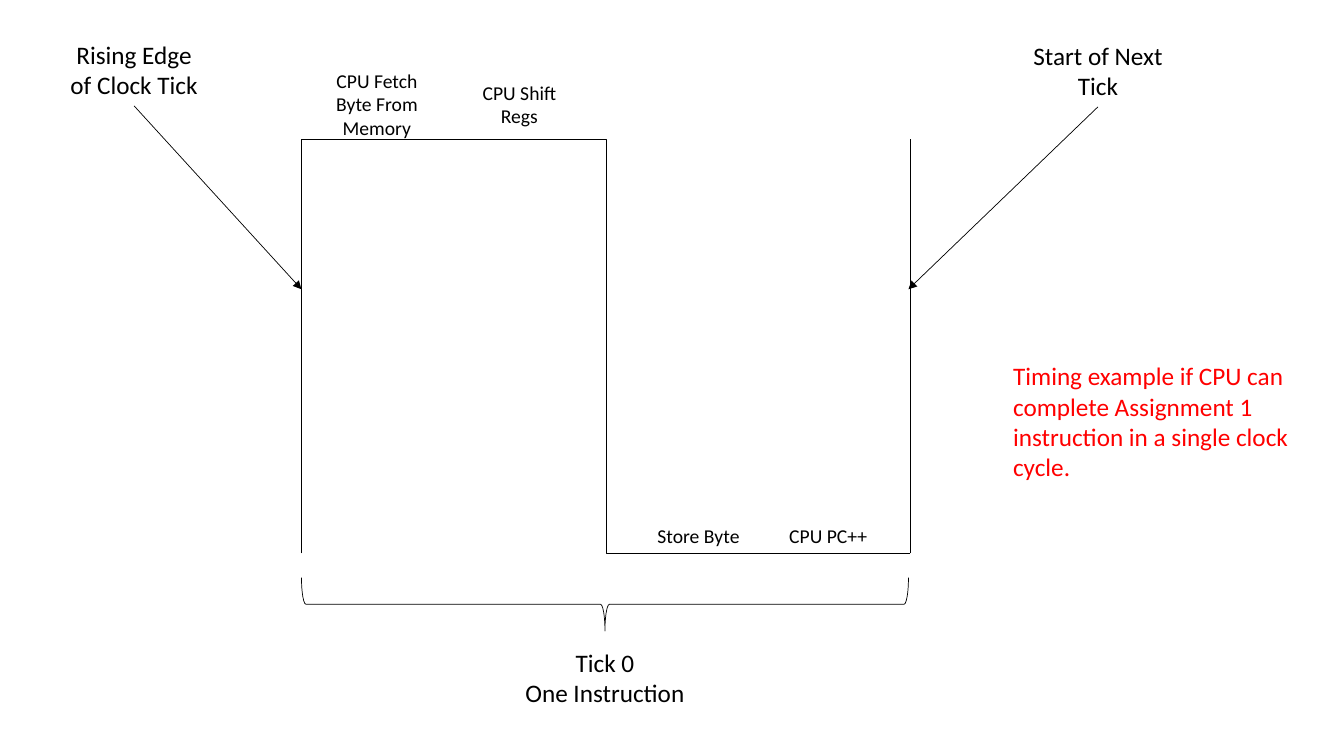
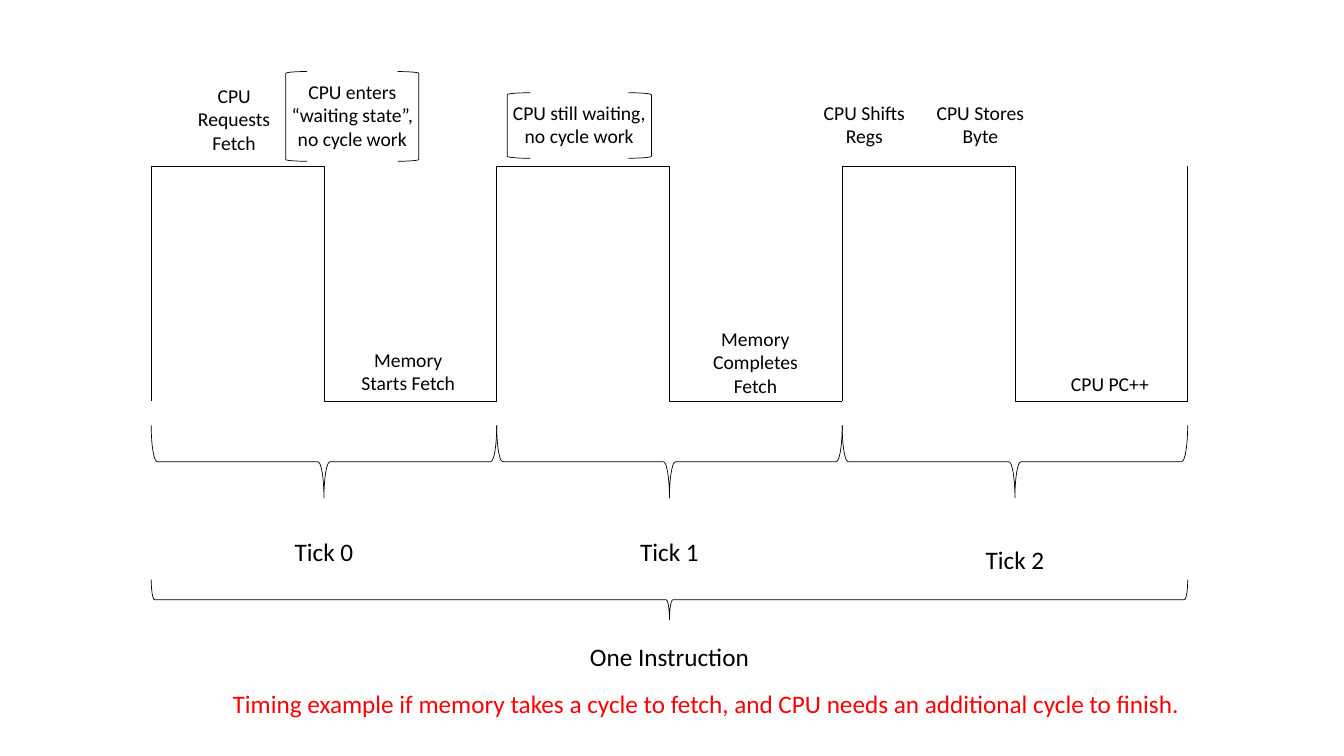
from dataclasses import dataclass

from pptx import Presentation
from pptx.dml.color import RGBColor
from pptx.enum.shapes import MSO_CONNECTOR, MSO_SHAPE
from pptx.enum.text import PP_ALIGN
from pptx.oxml.ns import qn
from pptx.oxml.xmlchemy import OxmlElement
from pptx.util import Inches, Pt

COLORS = {"ink": "000000", "note": "FF0000"}
FONT = "Calibri"
LINE_WIDTH = 0.5
SMALL, LARGE = 14, 18
LINE_HEIGHT = {SMALL: 0.24, LARGE: 0.3}
TEXT_PADDING = 0.1
STEP_WIDTH, WAITING_WIDTH = 1.24, 1.57
BRACE_GAP = 0.24


@dataclass
class Box:
    left: float
    top: float
    width: float
    height: float

    @property
    def right(self):
        return self.left + self.width

    @property
    def bottom(self):
        return self.top + self.height

    @property
    def center(self):
        return self.left + self.width / 2

    def emu(self):
        return [Inches(v) for v in (self.left, self.top, self.width, self.height)]


def text_height(lines, size):
    return TEXT_PADDING + lines * LINE_HEIGHT[size]


# Basic parts
def style_line(shape):
    shape.line.color.rgb = RGBColor.from_string(COLORS["ink"])
    shape.line.width = Pt(LINE_WIDTH)


def add_line(shapes, start, end, kind=MSO_CONNECTOR.STRAIGHT, arrow=False):
    points = [Inches(value) for value in (*start, *end)]
    connector = shapes.add_connector(kind, *points)
    style_line(connector)
    properties = connector.element.spPr
    if arrow:
        head = OxmlElement("a:tailEnd")
        head.set("type", "triangle")
        properties.find(qn("a:ln")).append(head)
    properties.append(OxmlElement("a:effectLst"))
    return connector


def add_outline(slide, kind, box):
    shape = slide.shapes.add_shape(kind, *box.emu())
    shape.shadow.inherit = False
    shape.fill.background()
    style_line(shape)
    return shape


def add_text(slide, box, text, size=LARGE, color="ink", align=PP_ALIGN.CENTER):
    text_box = slide.shapes.add_textbox(*box.emu())
    frame = text_box.text_frame
    frame.word_wrap = True
    frame.text = text
    for paragraph in frame.paragraphs:
        paragraph.alignment = align
        paragraph.font.name = FONT
        paragraph.font.size = Pt(size)
        paragraph.font.color.rgb = RGBColor.from_string(COLORS[color])
    return text_box


# Clock wave: one group per cycle, closed by the next rising edge
def split_cycles(wave, cycles):
    width = wave.width / cycles
    return [Box(wave.left + i * width, wave.top, width, wave.height) for i in range(cycles)]


def add_wave(slide, wave, cycles):
    for cycle in split_cycles(wave, cycles):
        shapes = slide.shapes.add_group_shape().shapes
        add_line(shapes, (cycle.left, cycle.top), (cycle.right, cycle.bottom), MSO_CONNECTOR.ELBOW)
        add_line(shapes, (cycle.right, cycle.bottom), (cycle.right, cycle.top))
    add_line(slide.shapes, (wave.left, wave.bottom), (wave.left, wave.top))


# Step label: stands on the high or low level at a percentage of the wave's width
def add_step(slide, wave, text, percent, level, lines, gap, bracket_width=0):
    width = WAITING_WIDTH if bracket_width else STEP_WIDTH
    height = text_height(lines, SMALL)
    base = wave.top if level == "high" else wave.bottom
    center = wave.left + wave.width * percent / 100
    box = Box(center - width / 2, base - gap - height, width, height)
    add_text(slide, box, text, SMALL)
    if bracket_width:
        depth = 0.16 * bracket_width
        left = center - bracket_width / 2
        sides = (
            (MSO_SHAPE.LEFT_BRACKET, left),
            (MSO_SHAPE.RIGHT_BRACKET, left + bracket_width - depth),
        )
        for kind, side in sides:
            add_outline(slide, kind, Box(side, box.top - 0.03, depth, height + 0.07))


# Brace lying under a span, with its caption below
def add_brace(slide, box, caption, gap):
    middle = box.top + box.height / 2
    upright = Box(
        box.center - box.height / 2, middle - box.width / 2, box.height, box.width
    )
    add_outline(slide, MSO_SHAPE.LEFT_BRACE, upright).rotation = 270
    height = text_height(len(caption.split("\n")), LARGE)
    add_text(slide, Box(box.center - 1, box.bottom + gap, 2, height), caption)


# Callout: text with an arrow to an edge of the wave
def add_callout(slide, box, text, target):
    text_box = add_text(slide, box, text)
    arrow = add_line(slide.shapes, (box.center, box.bottom), target, arrow=True)
    arrow.begin_connect(text_box, 2)


def add_note(slide, box, text):
    add_text(slide, box, text, color="note", align=PP_ALIGN.LEFT)


def build_single_cycle(slide):
    wave = Box(2.99, 1.38, 6.04, 4.11)
    add_wave(slide, wave, 1)
    steps = (
        ("CPU Fetch Byte From Memory", 12.4, "high", 3, -0.07),
        ("CPU Shift Regs", 35.8, "high", 2, 0.05),
        ("Store Byte", 65.2, "low", 1, 0),
        ("CPU PC++", 86.5, "low", 1, 0),
    )
    for step in steps:
        add_step(slide, wave, *step)
    target_height = 2.87
    callouts = (
        ("Rising Edge of Clock Tick", 0.53, 0.34, wave.left),
        ("Start of Next Tick", 10.09, 0.35, wave.right - 0.02),
    )
    for text, left, top, edge in callouts:
        add_callout(slide, Box(left, top, 1.6, 0.71), text, (edge, target_height))
    brace = Box(wave.left, wave.bottom + BRACE_GAP, wave.width - 0.02, 0.53)
    add_brace(slide, brace, "Tick 0\nOne Instruction", 0.11)
    add_note(
        slide,
        Box(9.95, 3.53, 3.27, 1.31),
        "Timing example if CPU can complete Assignment 1 instruction in a single clock cycle.",
    )


def build_three_cycles(slide):
    wave = Box(1.5, 1.65, 10.28, 2.33)
    add_wave(slide, wave, 3)
    steps = (
        ("CPU Requests Fetch", 8, "high", 3, 0.05),
        ("CPU enters “waiting state”, no cycle work", 19.4, "high", 3, 0.09, 1.32),
        ("Memory Starts Fetch", 24.8, "low", 2, 0),
        ("CPU still waiting, no cycle work", 41.3, "high", 2, 0.12, 1.43),
        ("Memory Completes Fetch", 58.3, "low", 3, -0.03),
        ("CPU Shifts Regs", 68.8, "high", 2, 0.12),
        ("CPU Stores Byte", 80, "high", 2, 0.12),
        ("CPU PC++", 92.5, "low", 1, 0),
    )
    for step in steps:
        add_step(slide, wave, *step)
    caption_gaps = (0.33, 0.33, 0.41)
    for tick, (cycle, gap) in enumerate(zip(split_cycles(wave, 3), caption_gaps)):
        brace = Box(cycle.left, cycle.bottom + BRACE_GAP, cycle.width, 0.72)
        add_brace(slide, brace, f"Tick {tick}", gap)
    add_brace(slide, Box(wave.left, 5.75, wave.width, 0.4), "One Instruction", 0.16)
    add_note(
        slide,
        Box(2.21, 6.78, 9.66, 0.4),
        "Timing example if memory takes a cycle to fetch, "
        "and CPU needs an additional cycle to finish.",
    )


def main():
    presentation = Presentation()
    presentation.slide_width = Inches(13.33)
    presentation.slide_height = Inches(7.5)
    blank_layout = presentation.slide_layouts[6]
    for build in (build_single_cycle, build_three_cycles):
        build(presentation.slides.add_slide(blank_layout))
    presentation.save("out.pptx")


if __name__ == "__main__":
    main()
